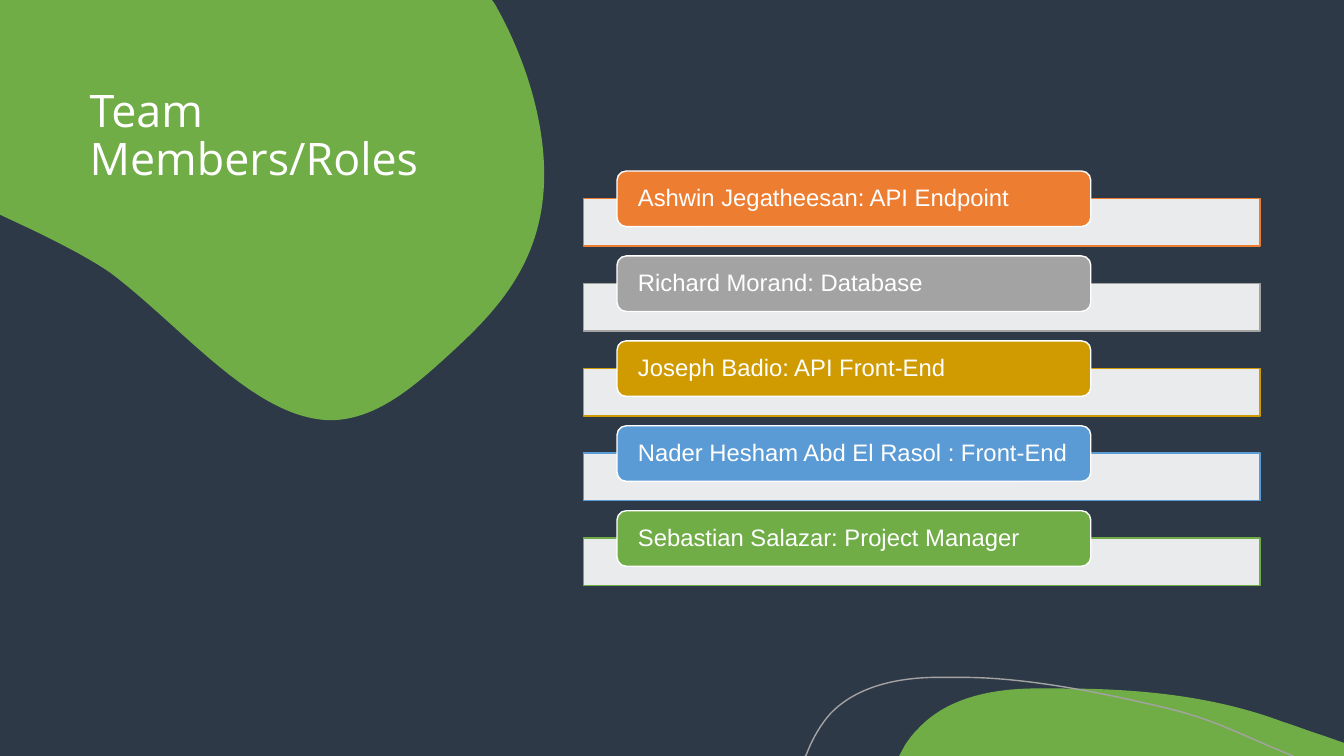
from dataclasses import dataclass
from typing import Optional

from lxml import etree
from pptx import Presentation
from pptx.dml.color import RGBColor
from pptx.enum import shapes, text
from pptx.oxml import ns
from pptx.util import Cm, Pt

NAVY = RGBColor(0x2E, 0x39, 0x48)
WHITE = RGBColor(0xFF, 0xFF, 0xFF)
GREEN = RGBColor(0x70, 0xAD, 0x47)
ORANGE = RGBColor(0xED, 0x7D, 0x31)
GRAY = RGBColor(0xA3, 0xA3, 0xA3)
GOLD = RGBColor(0xCF, 0x9B, 0x00)
BLUE = RGBColor(0x5B, 0x9B, 0xD5)

WIDTH, HEIGHT = 33.87, 19.05
ROW_TOP, ROW_PITCH = 4.31, 2.14
TITLE_FORMAT = {"size": Pt(32), "name": "Open Sans"}
ROLE_FORMAT = {"size": Pt(17), "name": "Arial"}
TITLE_FRAME = {"word_wrap": True, "vertical_anchor": text.MSO_ANCHOR.TOP}
ROLE_FRAME = {"word_wrap": True, "vertical_anchor": text.MSO_ANCHOR.MIDDLE,
              "margin_left": Cm(0.46), "margin_right": Cm(0.2),
              "margin_top": 0, "margin_bottom": 0}


@dataclass
class Outline:
    """Path in cm; a step of two numbers is a line, of six a Bezier curve."""
    start: tuple
    steps: list
    fill: Optional[RGBColor] = None
    line: Optional[RGBColor] = None


@dataclass
class Member:
    """Team member with role and accent colour."""
    label: str
    color: RGBColor


TITLE_BLOB = Outline((0, 0), [
    (12.4, 0), (12.47, 0.1),
    (13.28, 1.52, 13.84, 3.33, 13.69, 4.93),
    (13.51, 6.86, 12.34, 8, 11.28, 8.97),
    (10.39, 9.78, 9.45, 10.59, 8.31, 10.59),
    (6.4, 10.54, 4.62, 8.26, 2.79, 6.88),
    (2.24, 6.5, 1.55, 6.15, 0.81, 5.79),
    (0, 5.41), (0, 0)], fill=GREEN)
CORNER_HILL = Outline((26.77, 17.35), [
    (28.65, 17.35, 30.58, 17.53, 32.33, 18.19),
    (32.66, 18.29, 32.97, 18.42, 33.3, 18.52),
    (WIDTH, 18.72), (WIDTH, HEIGHT), (22.66, HEIGHT), (22.81, 18.77),
    (22.91, 18.62, 23.01, 18.49, 23.14, 18.36),
    (23.85, 17.6, 24.94, 17.37, 25.98, 17.35),
    (26.24, 17.35, 26.5, 17.35, 26.77, 17.35)], fill=GREEN)
CORNER_LINE = Outline((20.29, HEIGHT), [
    (20.32, 19.02),
    (20.47, 18.62, 20.68, 18.26, 20.93, 17.98),
    (21.59, 17.3, 22.58, 17.09, 23.52, 17.07),
    (24.26, 17.07),
    (25.96, 17.07, 27.94, 17.5, 29.34, 17.83),
    (30.71, 18.16, 31.14, 18.47, 32.59, HEIGHT)], line=GRAY)

MEMBERS = [
    Member("Ashwin Jegatheesan: API Endpoint", ORANGE),
    Member("Richard Morand: Database", GRAY),
    Member("Joseph Badio: API Front-End", GOLD),
    Member("Nader Hesham Abd El Rasol : Front-End", BLUE),
    Member("Sebastian Salazar: Project Manager", GREEN),
]


def apply(target, values: dict) -> None:
    """Set each named attribute on the target."""
    for name, value in values.items():
        setattr(target, name, value)


def paint(sp, fill: Optional[RGBColor], line: Optional[RGBColor]) -> None:
    """Set fill and 1 pt line, or none of them, without shadow."""
    sp.shadow.inherit = False
    for part, color in ((sp.fill, fill), (sp.line.fill, line)):
        if color is None:
            part.background()
        else:
            part.solid()
            part.fore_color.rgb = color
    if line is not None:
        sp.line.width = Pt(1)


def add_box(slide, kind, box: tuple, fill: RGBColor,
            line: Optional[RGBColor] = None):
    """Add a painted preset shape; box is left, top, width, height in cm."""
    sp = slide.shapes.add_shape(kind, *map(Cm, box))
    paint(sp, fill, line)
    return sp


def draw_outline(slide, outline: Outline) -> None:
    """Draw a filled blob or an open line with true Bezier curves."""
    builder = slide.shapes.build_freeform(*map(Cm, outline.start))
    ends = [tuple(map(Cm, step[-2:])) for step in outline.steps]
    builder.add_line_segments(ends, close=outline.fill is not None)
    sp = builder.convert_to_shape()
    segments = list(sp.element.iter(ns.qn("a:lnTo")))
    for segment, step in zip(segments, outline.steps):
        if len(step) == 2:
            continue
        segment.tag = ns.qn("a:cubicBezTo")
        for i in (0, 1):
            x, y = step[2 * i:2 * i + 2]
            pt = etree.Element(ns.qn("a:pt"), x=str(Cm(x) - sp.left),
                               y=str(Cm(y) - sp.top))
            segment.insert(i, pt)
    paint(sp, outline.fill, outline.line)


def write(sp, words: str, frame: dict, font: dict) -> None:
    """Put one left-aligned white paragraph in a shape."""
    tf = sp.text_frame
    apply(tf, frame)
    p = tf.paragraphs[0]
    apply(p, {"alignment": text.PP_ALIGN.LEFT, "line_spacing": 0.9})
    r = p.add_run()
    r.text = words
    apply(r.font, font)
    r.font.color.rgb = WHITE


def draw_member(slide, member: Member, top: float) -> None:
    """Draw a translucent bar with the member's tag over its upper edge."""
    bar = add_box(slide, shapes.MSO_SHAPE.RECTANGLE,
                  (14.71, top + 0.69, 17.05, 1.2), WHITE, member.color)
    rgb = next(bar.element.spPr.iter(ns.qn("a:srgbClr")))
    etree.SubElement(rgb, ns.qn("a:alpha")).set("val", "90000")
    tag = add_box(slide, shapes.MSO_SHAPE.ROUNDED_RECTANGLE,
                  (15.55, top, 11.94, 1.4), member.color, WHITE)
    write(tag, member.label, ROLE_FRAME, ROLE_FORMAT)


def main() -> None:
    """Build and save the slide."""
    prs = Presentation()
    apply(prs, {"slide_width": Cm(WIDTH), "slide_height": Cm(HEIGHT)})
    slide = prs.slides.add_slide(prs.slide_layouts[6])
    slide.background.fill.solid()
    slide.background.fill.fore_color.rgb = NAVY
    add_box(slide, shapes.MSO_SHAPE.RECTANGLE, (0, 0, WIDTH, HEIGHT), NAVY)
    draw_outline(slide, TITLE_BLOB)
    title = slide.shapes.add_textbox(Cm(2.01), Cm(2.11), Cm(10.69), Cm(6.35))
    write(title, "Team Members/Roles", TITLE_FRAME, TITLE_FORMAT)
    for outline in (CORNER_HILL, CORNER_LINE):
        draw_outline(slide, outline)
    for i, member in enumerate(MEMBERS):
        draw_member(slide, member, ROW_TOP + i * ROW_PITCH)
    prs.save("out.pptx")


main()
